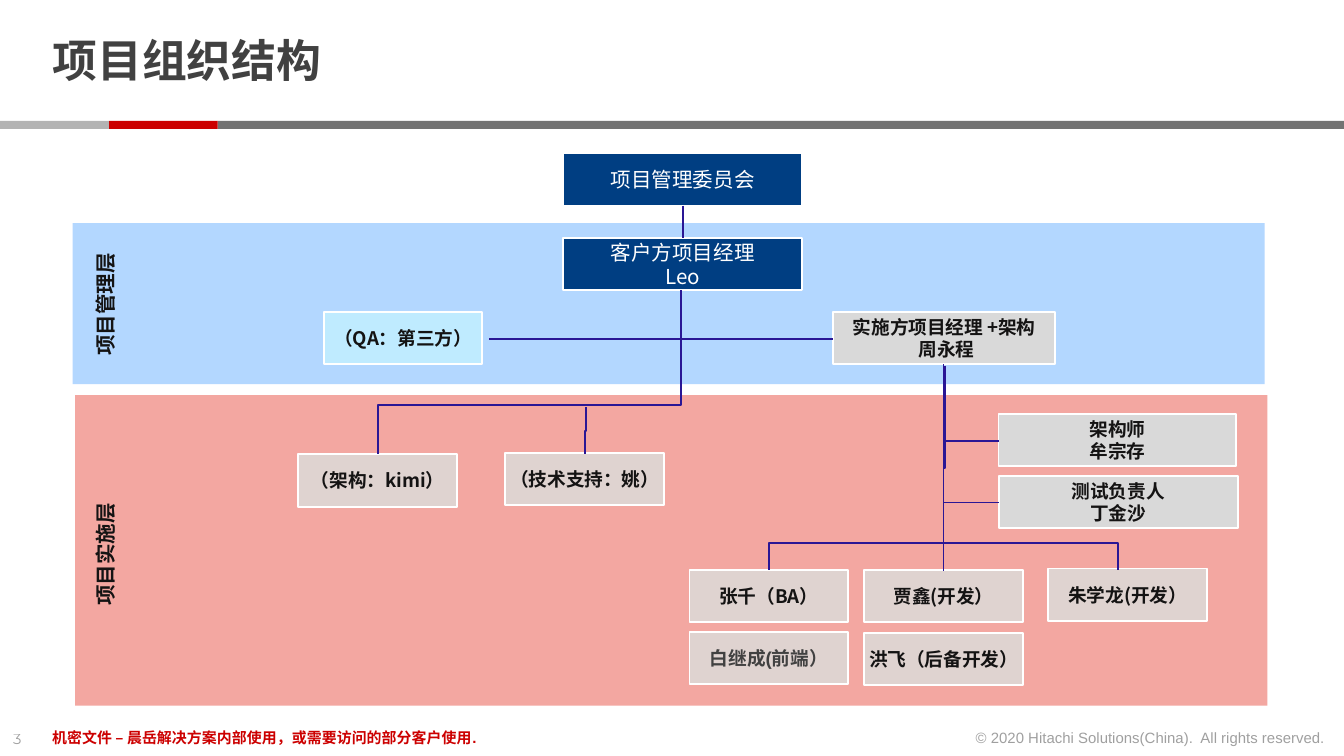
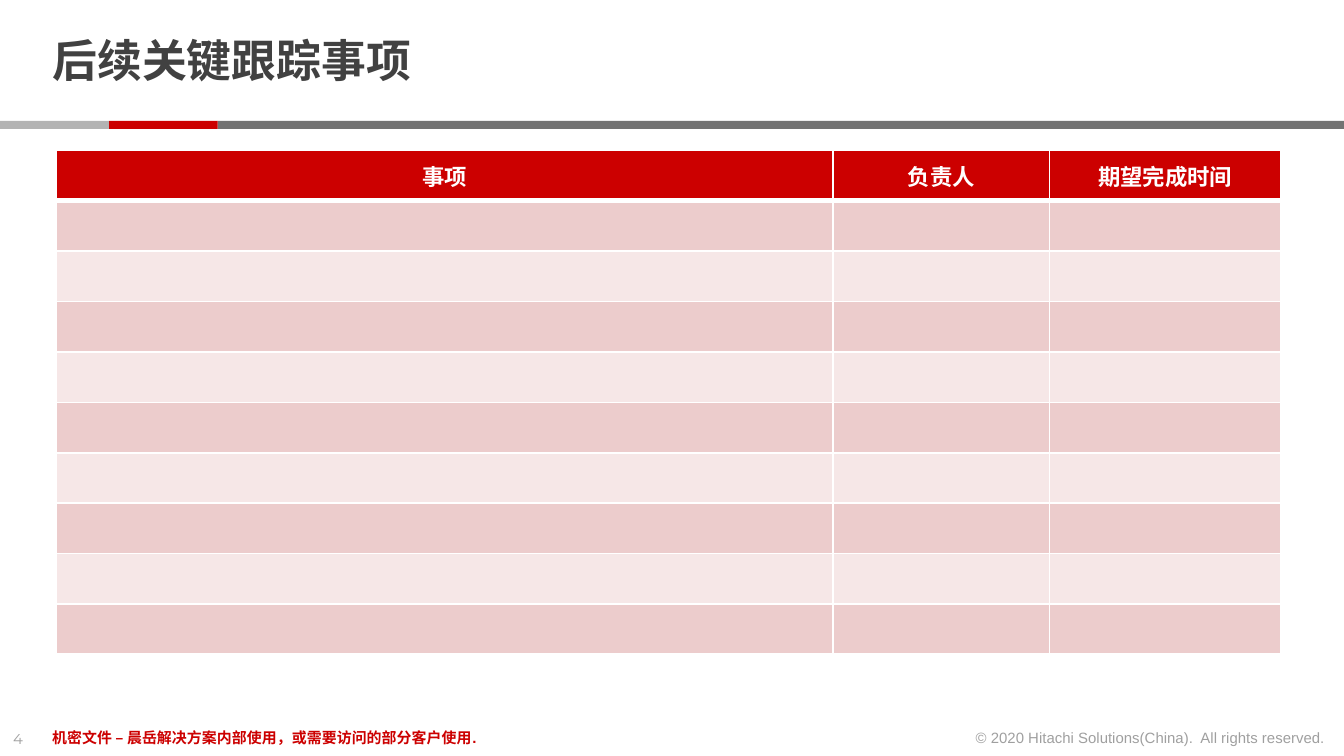
from dataclasses import dataclass

from lxml.etree import SubElement
from pptx import Presentation
from pptx.dml.color import RGBColor
from pptx.enum.shapes import MSO_CONNECTOR as Link, MSO_SHAPE as Preset
from pptx.enum.text import MSO_ANCHOR as Anchor, MSO_AUTO_SIZE as AutoSize, PP_ALIGN as Align
from pptx.oxml.ns import qn
from pptx.util import Inches, Pt


@dataclass(frozen=True)
class Theme:
    sans: str = "Noto Sans CJK SC"
    latin: str = "Arial"
    number: str = "Montserrat"
    red: str = "CC0000"
    dark_grey: str = "737373"
    light_grey: str = "B3B3B3"
    text: str = "414141"
    ink: str = "141313"
    white: str = "FFFFFF"
    navy: str = "003E82"
    silver: str = "D9D9D9"
    aqua: str = "CCFFFF"
    link: str = "2A1695"
    management: str = "B3D7FF"
    delivery: str = "F3A7A1"
    row_dark: str = "ECCCCC"
    row_light: str = "F6E7E7"
    title_size: int = 24
    header_size: int = 12
    label_size: int = 11
    node_size: int = 10
    footer_size: int = 8


THEME = Theme()
Point = tuple[float, float]
Area = tuple[float, float, float, float]


@dataclass(frozen=True)
class Style:
    size: int
    color: str = THEME.ink
    bold: bool = True
    font: str = THEME.sans
    alpha: int = 100
    align: Align = Align.CENTER


@dataclass(frozen=True)
class Look:
    fill: str
    style: Style
    alpha: int = 100


@dataclass(frozen=True)
class Node:
    text: str
    left: float
    top: float
    width: float
    look: Look


@dataclass(frozen=True)
class Elbow:
    """A line that leaves downwards; bend is the share of the drop before it turns."""
    start: Point
    end: Point
    bend: float | None = None


@dataclass(frozen=True)
class Layer:
    name: str
    area: Area
    fill: str
    label: Area


NODE_STYLE = Style(THEME.node_size)
LEAD = Look(THEME.navy, Style(THEME.label_size, THEME.white, bold=False))
MANAGER = Look(THEME.silver, NODE_STYLE)
MEMBER = Look(THEME.aqua, NODE_STYLE, alpha=50)
RESERVE = Look(THEME.aqua, Style(THEME.node_size, THEME.text, font=THEME.latin), alpha=50)
NODE_HEIGHT = 0.39
MEMBER_WIDTH = 1.18

LAYERS = [
    Layer("项目实施层", (0.56, 2.94, 8.87, 2.31), THEME.delivery, (0.27, 3.98, 1.03, 0.29)),
    Layer("项目管理层", (0.54, 1.66, 8.87, 1.2), THEME.management, (0.27, 2.12, 1.04, 0.29)),
]
COMMITTEE = Node("项目管理委员会", 4.19, 1.14, 1.78, LEAD)
CLIENT_MANAGER = Node("客户方项目经理\nLeo", 4.19, 1.77, 1.78, LEAD)
TEAM = [
    Node("实施方项目经理 +架构\n 周永程", 6.2, 2.32, 1.65, MANAGER),
    Node("架构师\n牟宗存", 7.43, 3.08, 1.77, MANAGER),
    Node("测试负责人\n丁金沙", 7.43, 3.54, 1.78, MANAGER),
    Node("（QA：第三方）", 2.41, 2.32, MEMBER_WIDTH, MEMBER),
    Node("（架构：kimi）", 2.22, 3.38, MEMBER_WIDTH, MEMBER),
    Node("（技术支持：姚）", 3.76, 3.37, MEMBER_WIDTH, MEMBER),
    Node("张千（BA）", 5.13, 4.24, MEMBER_WIDTH, MEMBER),
    Node("贾鑫(开发）", 6.43, 4.24, MEMBER_WIDTH, MEMBER),
    Node("朱学龙(开发）", 7.8, 4.23, MEMBER_WIDTH, MEMBER),
    Node("白继成(前端）", 5.13, 4.7, MEMBER_WIDTH, RESERVE),
    Node("洪飞（后备开发）", 6.43, 4.71, MEMBER_WIDTH, MEMBER),
]
CLIENT_EXIT = (5.07, 2.16)
SUPPLIER_EXIT = (7.02, 2.71)
ELBOWS = [
    Elbow(CLIENT_EXIT, (6.2, 2.52)),
    Elbow(CLIENT_EXIT, (3.64, 2.52)),
    Elbow(CLIENT_EXIT, (2.81, 3.38), 0.7),
    Elbow((4.36, 3.03), (4.35, 3.38), 0.5),
    Elbow(SUPPLIER_EXIT, (7.43, 3.28)),
    Elbow(SUPPLIER_EXIT, (7.43, 3.74)),
    Elbow((7.03, 2.72), (7.02, 4.25), 0.5),
    Elbow(SUPPLIER_EXIT, (5.72, 4.24), 0.87),
    Elbow(SUPPLIER_EXIT, (8.32, 4.24), 0.87),
]

BANDS = [
    (1.62, 8.38, THEME.dark_grey),
    (0.81, 0.81, THEME.red),
    (0, 0.81, THEME.light_grey),
]
NOTICE = "机密文件 – 晨岳解决方案内部使用，或需要访问的部分客户使用."
COPYRIGHT = "© 2020 Hitachi Solutions(China).  All rights reserved."

HEADERS = ["事项", "负责人", "期望完成时间"]
COLUMN_WIDTHS = [5.78, 1.61, 1.72]
ROW_COUNT = 10
TABLE_AREA = (0.42, 1.12, 9.11, 3.75)


def inches(values: tuple) -> list:
    return [Inches(value) for value in values]


def set_alpha(parent, percent: int) -> None:
    if percent < 100:
        color = next(parent.iter(qn("a:srgbClr")))
        SubElement(color, qn("a:alpha"), val=str(percent * 1000))


def write(frame, text: str, style: Style, spacing: float | None = None) -> None:
    frame.text = text
    for para in frame.paragraphs:
        para.alignment = style.align
        para.line_spacing = spacing
        font = para.font
        font.size, font.bold, font.name = Pt(style.size), style.bold, style.font
        font.color.rgb = RGBColor.from_string(style.color)
        properties = para._p.pPr.find(qn("a:defRPr"))
        set_alpha(properties, style.alpha)
        SubElement(properties, qn("a:ea"), typeface=THEME.sans)


def add_text(page, area: Area, text: str, style: Style, wrap: bool = True):
    box = page.shapes.add_textbox(*inches(area))
    box.text_frame.word_wrap = wrap
    box.text_frame.auto_size = AutoSize.SHAPE_TO_FIT_TEXT
    write(box.text_frame, text, style)
    return box


def add_block(page, area: Area, fill: str, alpha: int = 100):
    block = page.shapes.add_shape(Preset.RECTANGLE, *inches(area))
    block.shadow.inherit = False
    block.fill.solid()
    block.fill.fore_color.rgb = RGBColor.from_string(fill)
    set_alpha(block._element.spPr, alpha)
    block.line.fill.background()
    return block


def add_node(page, node: Node):
    area = (node.left, node.top, node.width, NODE_HEIGHT)
    block = add_block(page, area, node.look.fill, node.look.alpha)
    block.line.color.rgb = RGBColor.from_string(THEME.white)
    block.line.width = Pt(1)
    frame = block.text_frame
    frame.word_wrap = False
    frame.vertical_anchor = Anchor.MIDDLE
    write(frame, node.text, node.look.style)
    return block


def add_link(page, kind: Link, start: Point, end: Point):
    link = page.shapes.add_connector(kind, *inches((*start, *end)))
    link.line.color.rgb = RGBColor.from_string(THEME.link)
    link.line.width = Pt(1)
    SubElement(link._element.spPr, qn("a:effectLst"))
    return link


def add_elbow(page, elbow: Elbow) -> None:
    """Turn a sideways elbow by a quarter, so that it starts downwards."""
    (x1, y1), (x2, y2) = elbow.start, elbow.end
    drop, reach = y2 - y1, abs(x2 - x1)
    left, top = (x1 + x2 - drop) / 2, (y1 + y2 - reach) / 2
    link = add_link(page, Link.ELBOW, (left, top), (left + drop, top + reach))
    properties = link._element.spPr
    frame = properties.find(qn("a:xfrm"))
    frame.set("rot", str((270 if x2 > x1 else 90) * 60000))
    if x2 > x1:
        frame.set("flipH", "1")
    geometry = properties.find(qn("a:prstGeom"))
    if elbow.bend is None:
        geometry.set("prst", "bentConnector2")
        return
    guides = geometry.find(qn("a:avLst"))
    if guides is None:
        guides = SubElement(geometry, qn("a:avLst"))
    SubElement(guides, qn("a:gd"), name="adj1", fmla=f"val {round(elbow.bend * 100000)}")


def add_page(deck, title: str, number: int):
    page = deck.slides.add_slide(deck.slide_layouts[5])
    size = THEME.footer_size
    add_text(page, (0, 5.38, 0.34, 0.24), str(number),
             Style(size, THEME.text, False, THEME.number, 50, Align.LEFT), wrap=False)
    for left, width, color in BANDS:
        add_block(page, (left, 0.9, width, 0.06), color)
    add_text(page, (7.12, 5.37, 2.84, 0.24), COPYRIGHT,
             Style(size, THEME.text, False, THEME.latin, 50, Align.RIGHT), wrap=False)
    add_text(page, (0.29, 5.37, 6.74, 0.24), NOTICE,
             Style(size, THEME.red, font=THEME.latin, align=Align.LEFT))
    heading = page.shapes.title
    heading.left, heading.top, heading.width, heading.height = inches((0.29, 0.11, 7.71, 0.73))
    frame = heading.text_frame
    frame.auto_size = AutoSize.NONE
    frame.word_wrap = True
    frame.vertical_anchor = Anchor.MIDDLE
    frame.margin_left = frame.margin_right = Inches(0.1)
    frame.margin_top = frame.margin_bottom = 0
    write(frame, title, Style(THEME.title_size, THEME.text, align=Align.LEFT), 0.85)
    return page


def set_borders(cell, top: float, bottom: float) -> None:
    properties = cell._tc.get_or_add_tcPr()
    for index, (side, width) in enumerate(zip("LRTB", (1, 1, top, bottom))):
        line = SubElement(properties, qn(f"a:ln{side}"), w=str(Pt(width)))
        SubElement(SubElement(line, qn("a:solidFill")), qn("a:srgbClr"), val=THEME.white)
        properties.insert(index, line)


def add_follow_up_table(page) -> None:
    table = page.shapes.add_table(ROW_COUNT, len(HEADERS), *inches(TABLE_AREA)).table
    for column, width in zip(table.columns, COLUMN_WIDTHS):
        column.width = Inches(width)
    for index, row in enumerate(table.rows):
        color = THEME.row_dark if index % 2 else THEME.row_light
        for cell, header in zip(row.cells, HEADERS):
            cell.fill.solid()
            cell.fill.fore_color.rgb = RGBColor.from_string(color if index else THEME.red)
            cell.vertical_anchor = Anchor.MIDDLE
            set_borders(cell, top=3 if index == 1 else 1, bottom=1 if index else 3)
            if index == 0:
                write(cell.text_frame, header, Style(THEME.header_size, THEME.white))
            else:
                para = cell.text_frame.paragraphs[0]._p
                SubElement(para, qn("a:endParaRPr"), sz=str(THEME.header_size * 100))


def add_organisation(page) -> None:
    for layer in LAYERS:
        add_block(page, layer.area, layer.fill)
        label = add_text(page, layer.label, layer.name, Style(THEME.label_size))
        label.rotation = 270
    committee = add_node(page, COMMITTEE)
    client_manager = add_node(page, CLIENT_MANAGER)
    for node in TEAM:
        add_node(page, node)
    trunk = add_link(page, Link.STRAIGHT, (5.08, 1.53), (5.08, 1.77))
    trunk.begin_connect(committee, 2)
    trunk.end_connect(client_manager, 0)
    for elbow in ELBOWS:
        add_elbow(page, elbow)


def main() -> None:
    deck = Presentation()
    deck.slide_width, deck.slide_height = Inches(10), Inches(10 * 9 / 16)
    add_organisation(add_page(deck, "项目组织结构", 3))
    add_follow_up_table(add_page(deck, "后续关键跟踪事项", 4))
    deck.save("out.pptx")


if __name__ == "__main__":
    main()
